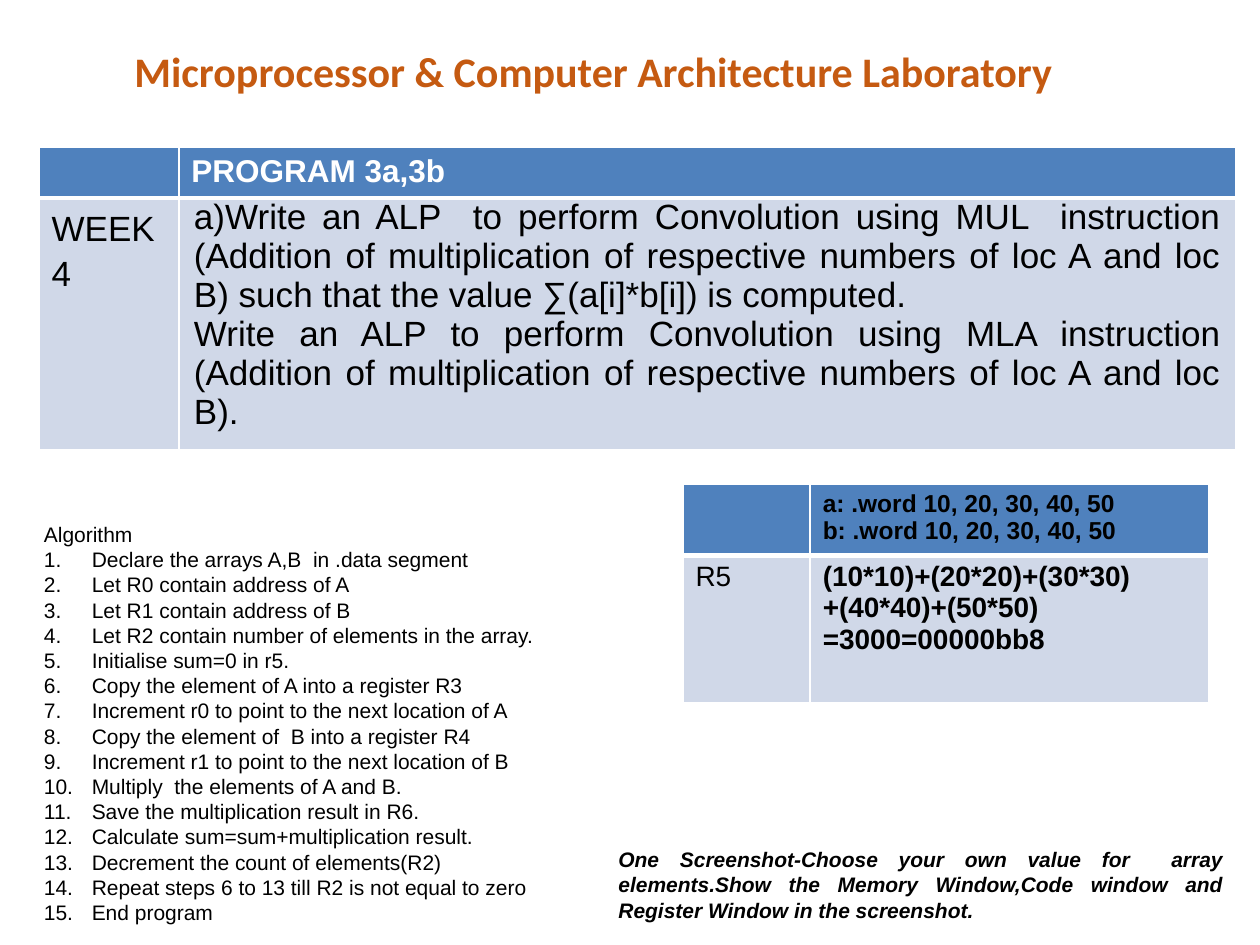
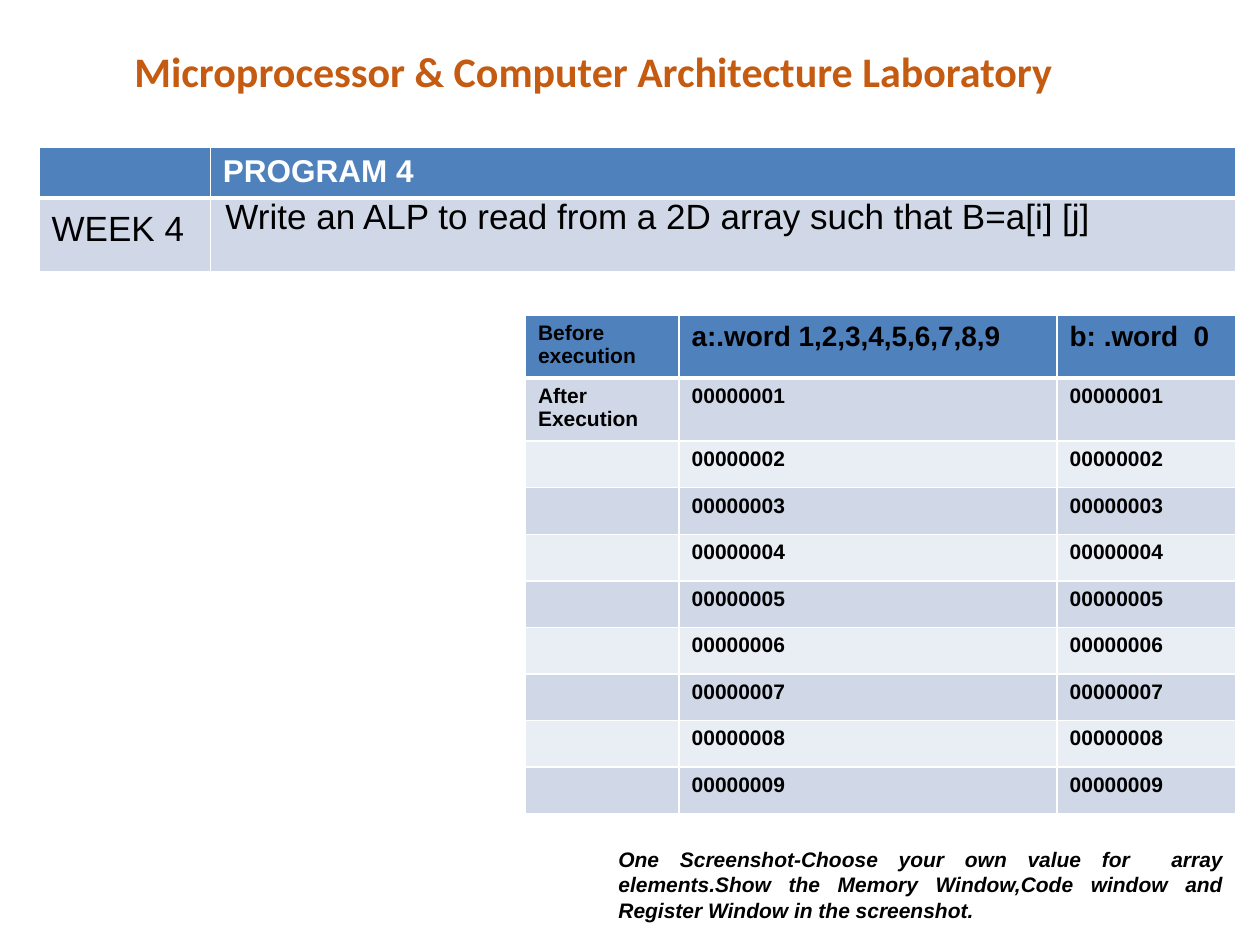
from dataclasses import dataclass

from lxml.etree import SubElement
from pptx import Presentation
from pptx.dml.color import RGBColor
from pptx.enum.text import MSO_ANCHOR, MSO_AUTO_SIZE, PP_ALIGN
from pptx.oxml.ns import qn
from pptx.util import Inches, Pt


@dataclass(frozen=True)
class Theme:
    heading_font: str = "Calibri"
    body_font: str = "Arial"
    accent: str = "C55A11"
    ink: str = "000000"
    paper: str = "FFFFFF"
    header: str = "4F81BD"
    bands: tuple = ("D0D8E8", "E9EDF4")
    title: int = 24
    task: int = 20
    program: int = 18
    value: int = 16
    data: int = 14
    small: int = 12
    thin: int = 1
    thick: int = 3


THEME = Theme()
WIDTH, HEIGHT = 10, 7.5
LEFT, RIGHT = 0.31, 9.81
TABLE_TOP = 1.17
HEADER_HEIGHT = 0.39
JUSTIFY = PP_ALIGN.JUSTIFY

COURSE = "Microprocessor & Computer Architecture Laboratory"
SCREENSHOT_NOTE = (
    "One Screenshot-Choose your own value for  array elements."
    "Show the Memory Window,Code window and Register Window in the screenshot."
)
WEEK = "WEEK 4"

CONVOLUTION = {
    "program": "PROGRAM 3a,3b",
    "task": [
        "a)Write an ALP  to perform Convolution using MUL  instruction "
        "(Addition of multiplication of respective numbers of loc A and loc B) "
        "such that the value ∑(a[i]*b[i]) is computed.",
        "Write an ALP to perform Convolution using MLA instruction "
        "(Addition of multiplication of respective numbers of loc A and loc B).",
    ],
    "week_width": 1.11,
    "task_height": 2.0,
}
ARRAYS = ["a: .word 10, 20, 30, 40, 50", "b: .word 10, 20, 30, 40, 50"]
RESULT_REGISTER = "R5"
RESULT = ["(10*10)+(20*20)+(30*30)", "+(40*40)+(50*50)", "=3000=00000bb8"]
ALGORITHM = [
    "Declare the arrays A,B  in .data segment",
    "Let R0 contain address of A",
    "Let R1 contain address of B",
    "Let R2 contain number of elements in the array.",
    "Initialise sum=0 in r5.",
    "Copy the element of A into a register R3",
    "Increment r0 to point to the next location of A",
    "Copy the element of  B into a register R4",
    "Increment r1 to point to the next location of B",
    "Multiply  the elements of A and B.",
    "Save the multiplication result in R6.",
    "Calculate sum=sum+multiplication result.",
    "Decrement the count of elements(R2)",
    "Repeat steps 6 to 13 till R2 is not equal to zero",
    "End program",
]

ARRAY_READ = {
    "program": "PROGRAM 4",
    "task": ["Write an ALP to read from a 2D array such that B=a[i] [j]"],
    "week_width": 1.36,
    "task_height": 0.59,
}
BEFORE = ("Before execution", "a:.word 1,2,3,4,5,6,7,8,9", "b: .word  0")
AFTER = "After Execution"
MEMORY = [f"{number:08d}" for number in range(1, 10)]


def write(frame, lines, size=THEME.small, font=THEME.body_font, color=THEME.ink,
          bold=False, italic=False, align=PP_ALIGN.LEFT, spacing=None):
    """Fill a text frame with one paragraph per line; return the paragraphs."""
    lines = [lines] if isinstance(lines, str) else lines
    frame.word_wrap = True
    for index, line in enumerate(lines):
        paragraph = frame.add_paragraph() if index else frame.paragraphs[0]
        paragraph.alignment = align
        if spacing:
            paragraph.line_spacing = spacing
        if not line:
            SubElement(paragraph._p, qn("a:endParaRPr"), sz=str(size * 100))
            continue
        run = paragraph.add_run()
        run.text = line
        run.font.size, run.font.name = Pt(size), font
        run.font.bold, run.font.italic = bold, italic
        run.font.color.rgb = RGBColor.from_string(color)
    return frame.paragraphs


def add_text(slide, left, top, width, height, lines, **text_format):
    frame = slide.shapes.add_textbox(*map(Inches, (left, top, width, height))).text_frame
    paragraphs = write(frame, lines, **text_format)
    frame.auto_size = MSO_AUTO_SIZE.SHAPE_TO_FIT_TEXT
    return paragraphs


def number(paragraph, indent=0.38):
    properties = paragraph._p.get_or_add_pPr()
    properties.set("marL", str(Inches(indent)))
    properties.set("indent", str(-Inches(indent)))
    SubElement(properties, qn("a:buFont"), typeface="+mj-lt")
    SubElement(properties, qn("a:buAutoNum"), type="arabicPeriod")


def paint(cell, row):
    """Give a cell the colour of its row and white rules, thick under the header."""
    properties = cell._tc.get_or_add_tcPr()
    widths = {"L": THEME.thin, "R": THEME.thin,
              "T": THEME.thick if row == 1 else THEME.thin,
              "B": THEME.thick if row == 0 else THEME.thin}
    for side, width in widths.items():
        line = SubElement(properties, qn(f"a:ln{side}"), w=str(Pt(width)))
        SubElement(SubElement(line, qn("a:solidFill")), qn("a:srgbClr"), val=THEME.paper)
    cell.fill.solid()
    color = THEME.bands[(row - 1) % 2] if row else THEME.header
    cell.fill.fore_color.rgb = RGBColor.from_string(color)


def add_table(slide, left, top, columns, heights, cells):
    """Draw rows of (lines, text format) pairs."""
    table = slide.shapes.add_table(
        len(heights), len(columns),
        *map(Inches, (left, top, sum(columns), sum(heights)))).table
    for column, width in zip(table.columns, columns):
        column.width = Inches(width)
    for row, height in zip(table.rows, heights):
        row.height = Inches(height)
    for row, line in enumerate(cells):
        for column, (lines, text_format) in enumerate(line):
            cell = table.cell(row, column)
            paint(cell, row)
            write(cell.text_frame, lines, **text_format)
    return table


def add_lab_slide(deck, program, task, week_width, task_height):
    """Add a slide with the course title, the task table and the closing note."""
    slide = deck.slides.add_slide(deck.slide_layouts[5])
    title = slide.shapes.title
    title.left, title.top, title.width, title.height = map(Inches, (0.25, 0.31, 8.92, 0.5))
    write(title.text_frame, COURSE, size=THEME.title, font=THEME.heading_font,
          color=THEME.accent, bold=True, align=PP_ALIGN.CENTER)
    title.text_frame.vertical_anchor = MSO_ANCHOR.MIDDLE
    title.text_frame.auto_size = MSO_AUTO_SIZE.SHAPE_TO_FIT_TEXT

    body = dict(size=THEME.task, align=JUSTIFY)
    table = add_table(
        slide, LEFT, TABLE_TOP, [week_width, RIGHT - LEFT - week_width],
        [HEADER_HEIGHT, task_height],
        [[("", {}), (program, dict(size=THEME.program, color=THEME.paper, bold=True))],
         [(WEEK, dict(body, spacing=1.15)), (task, body)]])
    task_cell = table.cell(1, 1)
    task_cell.margin_left = task_cell.margin_right = Inches(0.12)
    task_cell.margin_top = task_cell.margin_bottom = 0

    add_text(slide, RIGHT - 5, 6.67, 5, 0.71, SCREENSHOT_NOTE,
             bold=True, italic=True, align=JUSTIFY)
    return slide


def add_convolution(deck):
    slide = add_lab_slide(deck, **CONVOLUTION)
    add_table(
        slide, 5.42, 3.84, [1.01, 3.16], [0.56, 1.17],
        [[("", {}), (ARRAYS, dict(size=THEME.data, bold=True, align=JUSTIFY))],
         [(RESULT_REGISTER, dict(size=THEME.value)),
          (RESULT, dict(size=THEME.value, bold=True))]])
    heading, *steps = add_text(slide, 0.25, 4.09, 4.42, 3.33,
                               ["Algorithm", *ALGORITHM], align=JUSTIFY)
    for step in steps:
        number(step)


def add_array_read(deck):
    slide = add_lab_slide(deck, **ARRAY_READ)
    label = dict(size=THEME.small, bold=True)
    declaration = dict(size=THEME.value, bold=True, align=JUSTIFY)
    state, *arrays = BEFORE
    cells = [[(state, label), *((array, declaration) for array in arrays)]]
    for index, word in enumerate(MEMORY):
        cells.append([("" if index else AFTER, label), (word, label), (word, label)])
    columns = [1.22, 3, 1.42]
    heights = [0.5, 0.5] + [0.37] * (len(MEMORY) - 1)
    add_table(slide, RIGHT - sum(columns), 2.5, columns, heights, cells)


def main():
    deck = Presentation()
    deck.slide_width, deck.slide_height = Inches(WIDTH), Inches(HEIGHT)
    add_convolution(deck)
    add_array_read(deck)
    deck.save("out.pptx")


if __name__ == "__main__":
    main()
